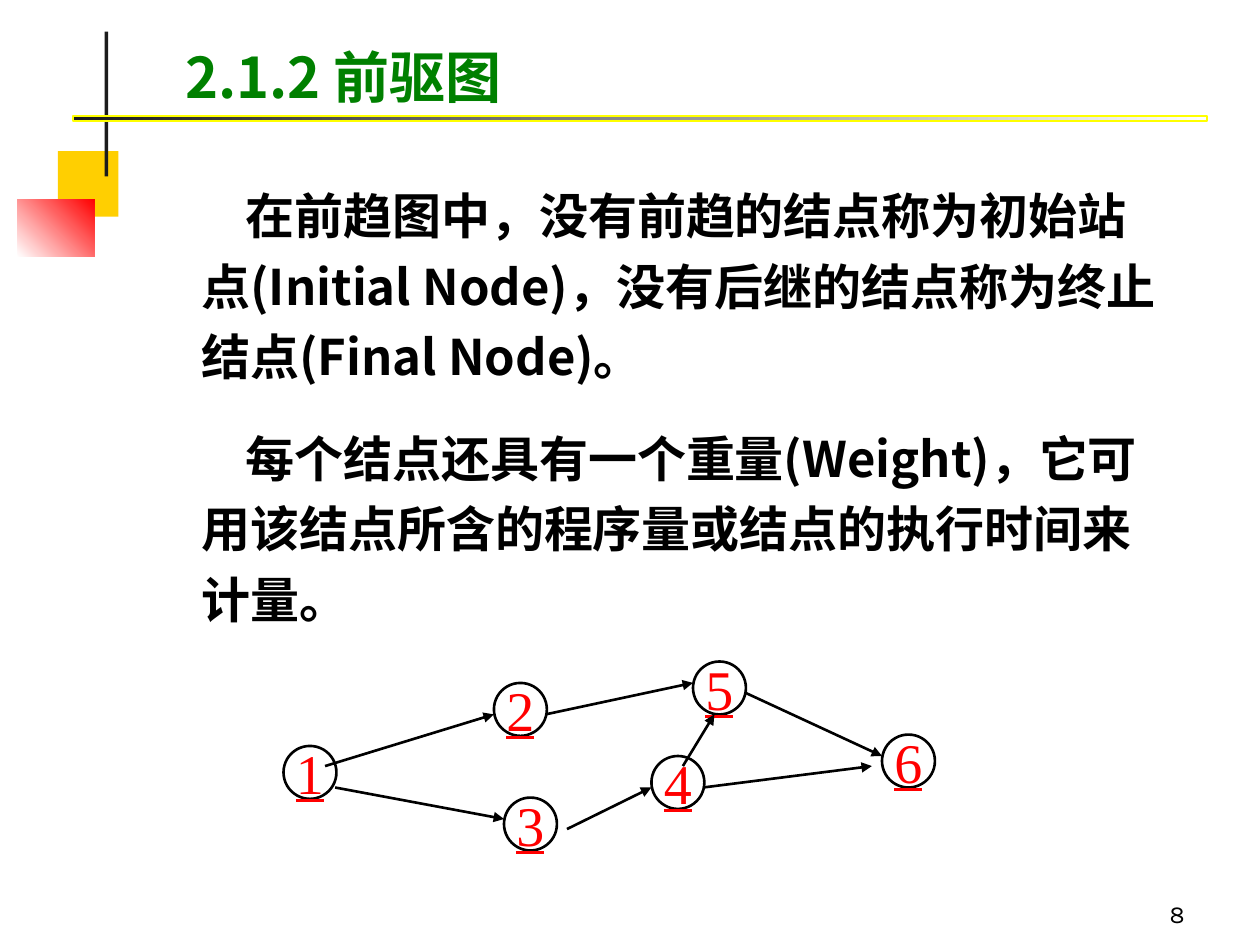
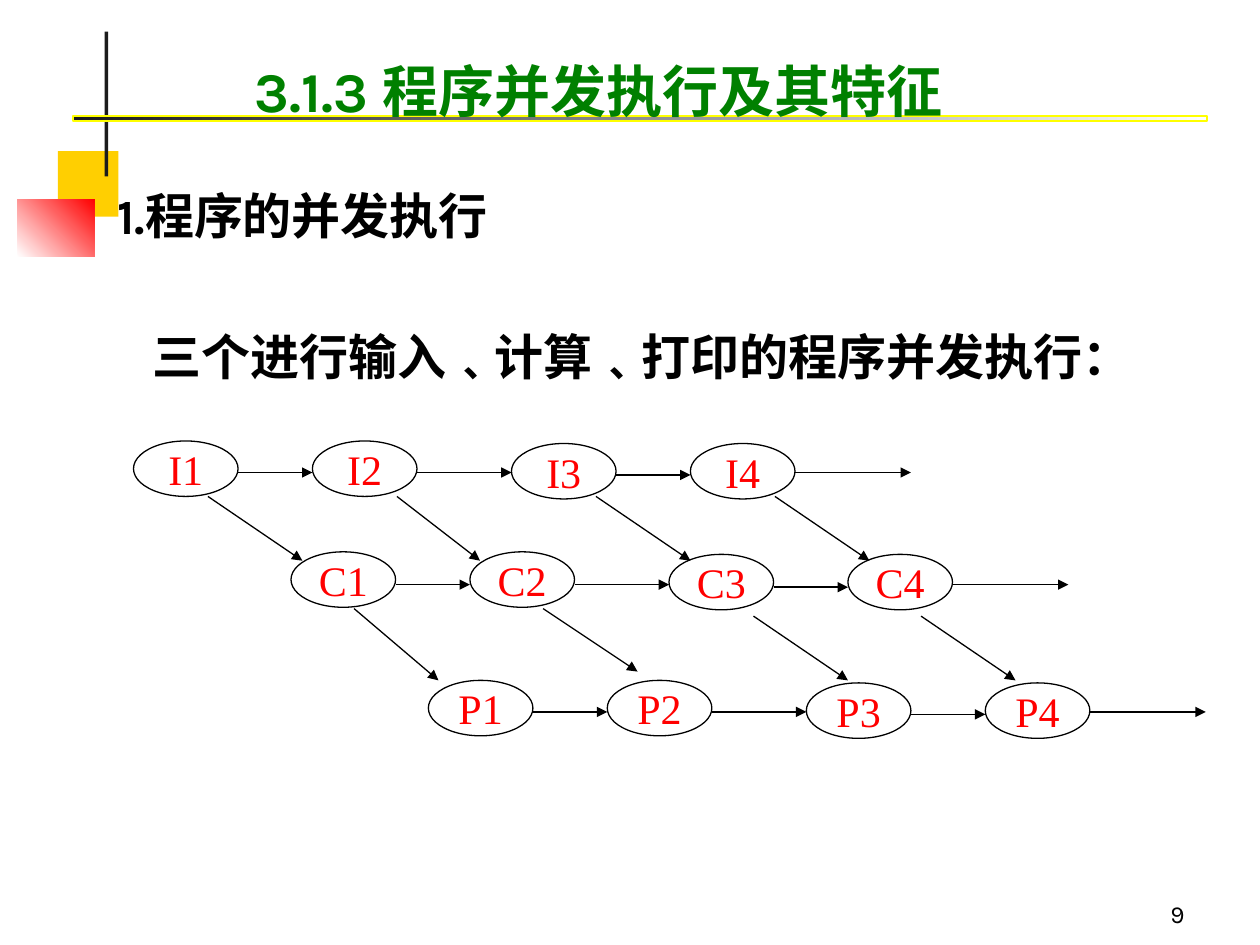
from dataclasses import dataclass
from itertools import pairwise

from lxml.etree import SubElement
from pptx import Presentation
from pptx.dml.color import RGBColor
from pptx.enum.shapes import MSO_CONNECTOR, MSO_SHAPE
from pptx.enum.text import MSO_ANCHOR, MSO_AUTO_SIZE, PP_ALIGN
from pptx.oxml.ns import qn
from pptx.util import Inches, Pt


@dataclass(frozen=True)
class Theme:
    black: RGBColor = RGBColor(0, 0, 0)
    white: RGBColor = RGBColor(255, 255, 255)
    red: RGBColor = RGBColor(255, 0, 0)
    green: RGBColor = RGBColor(0, 128, 0)
    gold: RGBColor = RGBColor(0xFF, 0xCF, 0x01)
    yellow: RGBColor = RGBColor(255, 255, 0)
    charcoal: RGBColor = RGBColor(0x1C, 0x1C, 0x1C)
    latin: str = "Karla"
    chinese: str = "Noto Sans CJK SC"
    serif: str = "Times New Roman"
    title_size: int = 32
    body_size: int = 28
    number_size: int = 14


THEME = Theme()
FIRST_NUMBER = 8

# Precedence graph: node positions and arrow ends
NODES = {"1": (2.25, 5.92), "2": (3.92, 5.42), "3": (4, 6.33),
         "4": (5.17, 6), "5": (5.5, 5.25), "6": (7, 5.83)}
NODE_ARROWS = [
    (2.58, 6.08, 3.92, 5.67), (2.66, 6.25, 4, 6.5), (4.33, 5.67, 5.5, 5.42),
    (4.5, 6.58, 5.17, 6.25), (5.92, 5.5, 7, 6), (5.58, 6.25, 6.92, 6.08),
    (5.42, 6.08, 5.67, 5.67),
]

# Pipeline: the left, top and arrow height of each stage
STAGES = {"I": (1.06, 3.5, 3.75), "C": (2.31, 4.38, 4.64), "P": (3.4, 5.4, 5.65)}
JOB_OFFSETS = [0, 1.42, 3, 4.42]
JOB_DROPS = [0, 0, 0.02, 0.02]
OVAL_WIDTH, OVAL_HEIGHT, LAST_ARROW = 0.83, 0.44, 0.92
HANDOVERS = [
    (1.65, 3.94, 2.4, 4.45), (3.15, 3.94, 3.81, 4.45),
    (4.73, 3.94, 5.48, 4.45), (6.15, 3.94, 6.9, 4.45),
    (2.81, 4.83, 3.48, 5.4), (4.31, 4.83, 5.06, 5.33),
    (5.98, 4.89, 6.73, 5.4), (7.31, 4.89, 8.06, 5.4),
]


def apply(target, values):
    for name, value in values.items():
        setattr(target, name, value)


def inches(*values):
    return [Inches(value) for value in values]


def place(box, left, top, width, height):
    apply(box, dict(zip(("left", "top", "width", "height"),
                        inches(left, top, width, height))))


def style_font(span, size, color, latin, bold=False, underline=None):
    apply(span.font, {"size": Pt(size), "bold": bold, "underline": underline,
                      "name": latin})
    span.font.color.rgb = color
    east_asian = SubElement(span.font._element, qn("a:ea"))
    east_asian.set("typeface", THEME.chinese)


def indent(para, margin=0, first=0):
    properties = para._p.get_or_add_pPr()
    properties.set("marL", str(Inches(margin)))
    properties.set("indent", str(Inches(first)))
    SubElement(properties, qn("a:buNone"))


# Shared master decoration
def add_block(page, area, color, end=None, angle=0):
    block = page.shapes.add_shape(MSO_SHAPE.RECTANGLE, *inches(*area))
    block.shadow.inherit = False
    block.line.fill.background()
    if end is None:
        block.fill.solid()
        block.fill.fore_color.rgb = color
    else:
        block.fill.gradient()
        block.fill.gradient_angle = angle
        for stop, shade in zip(block.fill.gradient_stops, (color, end)):
            stop.color.rgb = shade
    return block


def decorate_master(deck, page):
    blocks = [
        add_block(page, (0.46, 1.2, 0.48, 0.52), THEME.gold),
        add_block(page, (0.14, 1.58, 0.61, 0.46), THEME.white, THEME.red, 45),
        add_block(page, (0.83, 0.25, 0.03, 1.15), THEME.charcoal),
        add_block(page, (0.58, 0.92, 9, 0.04), THEME.charcoal, THEME.white),
    ]
    rule = blocks[-1]
    rule.line.color.rgb = THEME.yellow
    rule.line.width = Pt(0.75)
    for number, block in enumerate(blocks, 100):
        block.element.nvSpPr.cNvPr.id = number
        deck.slide_master.shapes.element.append(block.element)


# Text parts
def set_title(page, text, area, font, margin=0):
    title = page.shapes.title
    place(title, *area)
    apply(title.text_frame, {"vertical_anchor": MSO_ANCHOR.BOTTOM, "word_wrap": True,
                             "auto_size": MSO_AUTO_SIZE.NONE})
    para = title.text_frame.paragraphs[0]
    para.alignment = PP_ALIGN.LEFT
    indent(para, margin)
    span = para.add_run()
    span.text = text
    style_font(span, THEME.title_size, THEME.green, font, bold=True)


def set_body(page, lines, area, font, gap, spacing=1.0):
    """Each line is its text, left margin and first-line indent."""
    body = page.placeholders[1]
    place(body, *area)
    frame = body.text_frame
    apply(frame, {"vertical_anchor": MSO_ANCHOR.TOP, "word_wrap": True,
                  "auto_size": MSO_AUTO_SIZE.NONE})
    for number, (text, margin, first) in enumerate(lines):
        para = frame.add_paragraph() if number else frame.paragraphs[0]
        indent(para, margin, first)
        apply(para, {"space_before": Pt(gap if number else 0),
                     "line_spacing": spacing})
        span = para.add_run()
        span.text = text
        style_font(span, THEME.body_size, THEME.black, font, bold=True)


def add_page_number(page, number):
    box = page.shapes.add_textbox(*inches(7.42, 6.92, 2.08, 0.5))
    apply(box.text_frame, {"vertical_anchor": MSO_ANCHOR.BOTTOM, "word_wrap": True})
    para = box.text_frame.paragraphs[0]
    para.alignment = PP_ALIGN.RIGHT
    span = para.add_run()
    span.text = str(number)
    style_font(span, THEME.number_size, THEME.black, THEME.latin)
    # Turn the run into a live page number
    span._r.tag = qn("a:fld")
    span._r.set("id", "{B6F15528-21DE-4FAA-801E-634DDDAF4B2B}")
    span._r.set("type", "slidenum")


# Diagram parts
def add_oval(diagram, text, area, size, weight, underline=None):
    oval = diagram.shapes.add_shape(MSO_SHAPE.OVAL, *inches(*area))
    oval.shadow.inherit = False
    oval.fill.solid()
    oval.fill.fore_color.rgb = THEME.white
    oval.line.color.rgb = THEME.black
    oval.line.width = Pt(weight)
    apply(oval.text_frame, {"vertical_anchor": MSO_ANCHOR.MIDDLE, "word_wrap": False})
    para = oval.text_frame.paragraphs[0]
    para.alignment = PP_ALIGN.CENTER
    span = para.add_run()
    span.text = text
    style_font(span, size, THEME.red, THEME.serif, underline=underline)


def add_arrow(diagram, ends, weight):
    arrow = diagram.shapes.add_connector(MSO_CONNECTOR.STRAIGHT, *inches(*ends))
    arrow.line.color.rgb = THEME.black
    arrow.line.width = Pt(weight)
    SubElement(arrow.line._get_or_add_ln(), qn("a:tailEnd")).set("type", "triangle")
    SubElement(arrow.element.spPr, qn("a:effectLst"))


def draw_precedence_graph(page):
    diagram = page.shapes.add_group_shape()
    for name, (left, top) in NODES.items():
        add_oval(diagram, name, (left, top, 0.42, 0.42), 32, 1.5, underline=True)
    for ends in NODE_ARROWS:
        add_arrow(diagram, ends, 1.5)


def draw_pipeline(page):
    diagram = page.shapes.add_group_shape()
    for stage, (start, top, level) in STAGES.items():
        lefts = [start + offset for offset in JOB_OFFSETS]
        for job, (left, drop) in enumerate(zip(lefts, JOB_DROPS), 1):
            area = (left, top + drop, OVAL_WIDTH, OVAL_HEIGHT)
            add_oval(diagram, f"{stage}{job}", area, 24, 0.75)
        stops = lefts + [lefts[-1] + OVAL_WIDTH + LAST_ARROW]
        for job, (left, stop) in enumerate(pairwise(stops), 1):
            height = level + (0.02 if job == 3 else 0)
            add_arrow(diagram, (left + OVAL_WIDTH, height, stop, height), 0.75)
    for ends in HANDOVERS:
        add_arrow(diagram, ends, 0.75)


def main():
    deck = Presentation()
    deck.slide_width, deck.slide_height = inches(10, 7.5)
    deck.element.set("firstSlideNum", str(FIRST_NUMBER))
    layout = deck.slide_layouts[1]
    graph_page, pipeline_page = [deck.slides.add_slide(layout) for _ in range(2)]
    decorate_master(deck, graph_page)

    # Precedence graph
    set_title(graph_page, "2.1.2 前驱图", (1.08, 0.33, 7.17, 0.59),
              THEME.chinese, margin=0.29)
    set_body(graph_page, [
        ("在前趋图中，没有前趋的结点称为初始站点(Initial Node)，"
         "没有后继的结点称为终止结点(Final Node)。", 0, 0.35),
        ("每个结点还具有一个重量(Weight)，它可用该结点所含的程序量"
         "或结点的执行时间来计量。", 0, 0.35),
    ], (1.5, 1.33, 7.83, 3.71), THEME.chinese, gap=17.5, spacing=1.2)
    draw_precedence_graph(graph_page)

    # Concurrent execution
    set_title(pipeline_page, "3.1.3 程序并发执行及其特征",
              (1.92, 0.33, 6.58, 0.7), THEME.latin)
    set_body(pipeline_page, [
        ("1.程序的并发执行", 0.38, -0.38),
        ("三个进行输入﹑计算﹑打印的程序并发执行：", 0.28, 0),
    ], (0.83, 1.42, 8.75, 1.75), THEME.latin, gap=47)
    draw_pipeline(pipeline_page)

    for number, page in enumerate(deck.slides, FIRST_NUMBER):
        add_page_number(page, number)
    deck.save("out.pptx")


if __name__ == "__main__":
    main()
